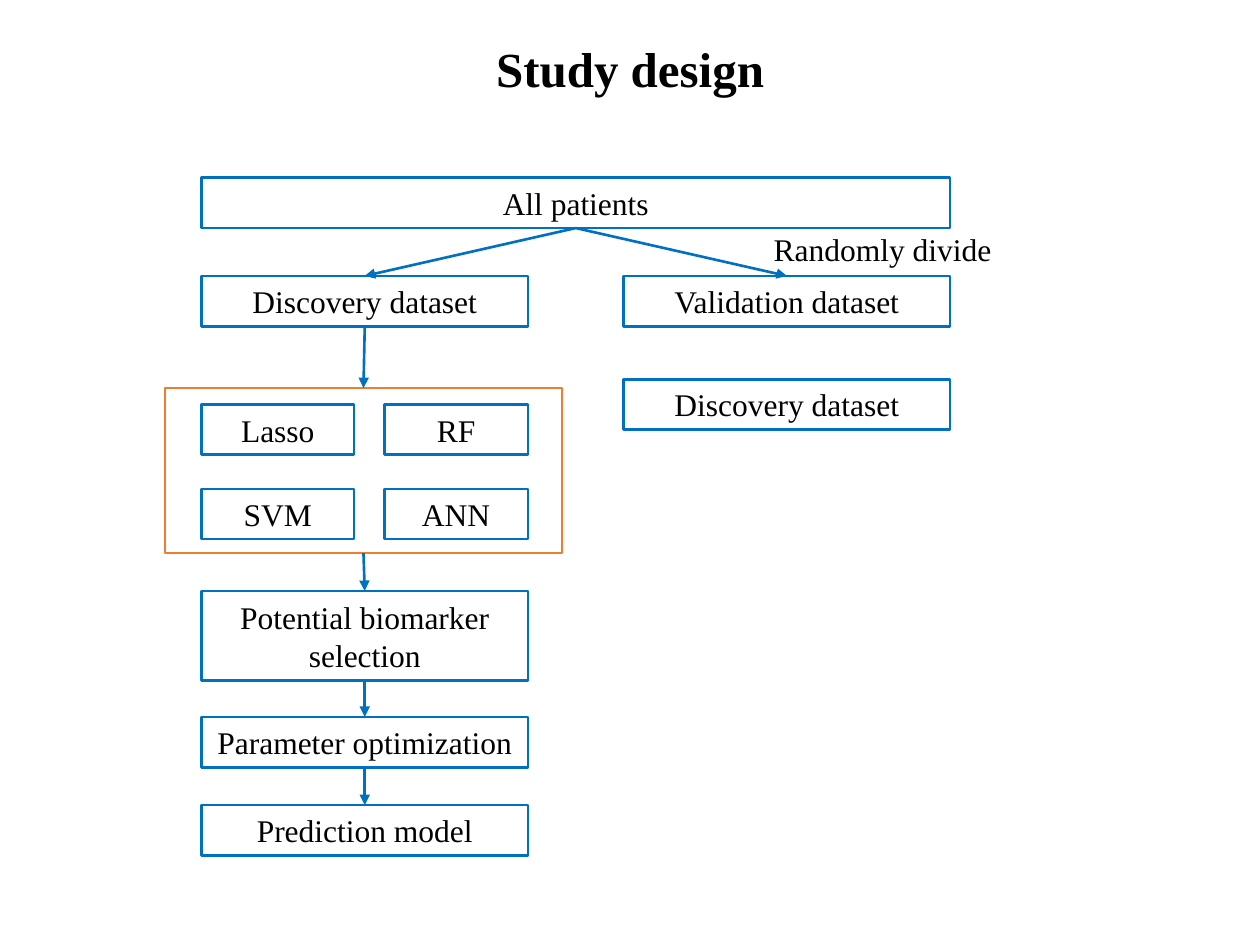
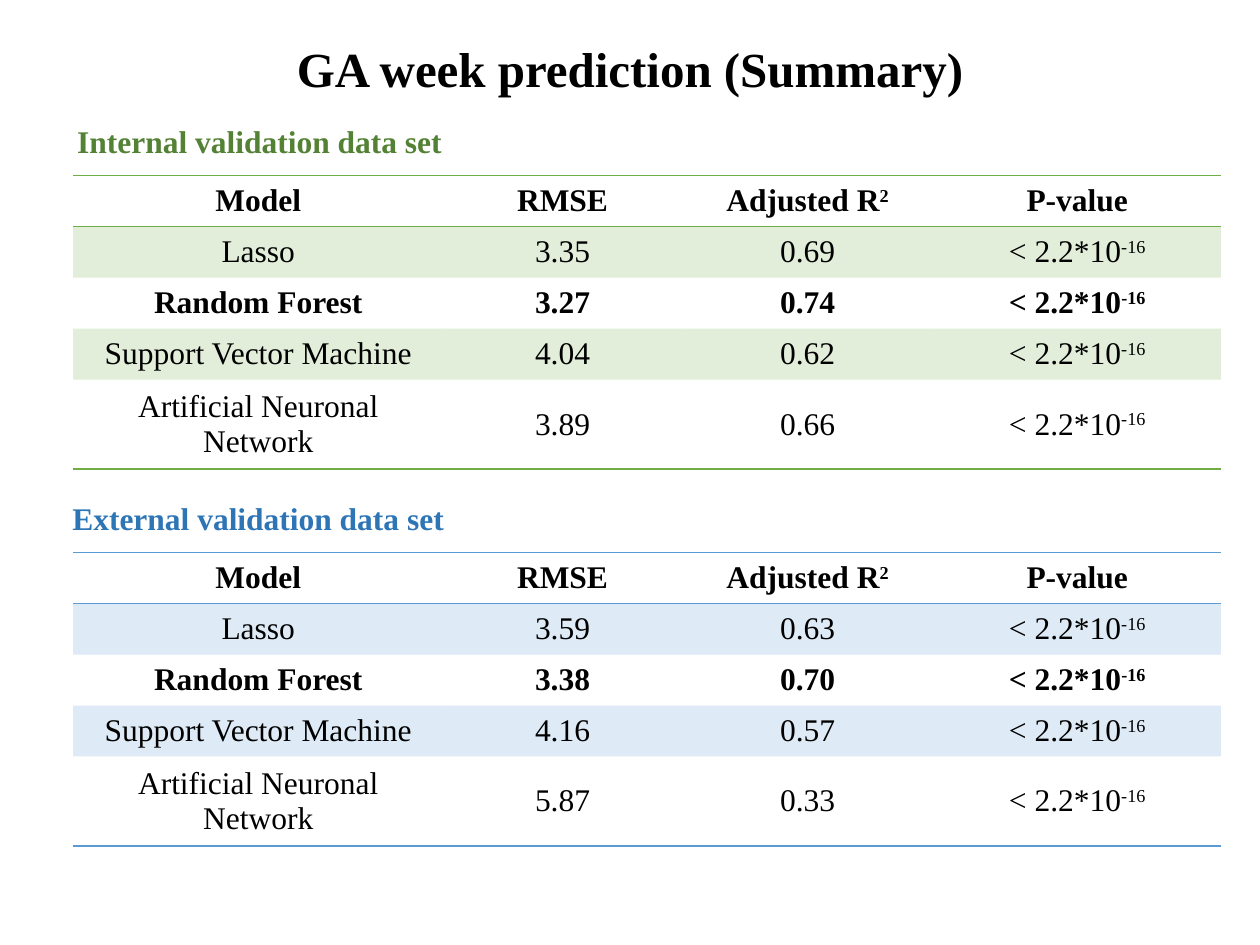
from dataclasses import dataclass

from pptx import Presentation
from pptx.dml.color import RGBColor as Rgb
from pptx.enum.shapes import MSO_CONNECTOR as Connector, MSO_SHAPE as Shape
from pptx.enum.text import MSO_ANCHOR as Anchor, PP_ALIGN as Align
from pptx.oxml import parse_xml
from pptx.oxml.ns import nsdecls, qn
from pptx.util import Inches, Pt

# The grid has 100 columns and 75 rows, each a tenth of an inch.
UNIT = Inches(0.1)
COLUMNS, ROWS = 100, 75
TOP, BOTTOM = 0, 2  # connection sites of a rectangle
PLAIN_TABLE = "{2D5ABB26-0587-4C30-8999-92F81FD0307C}"


@dataclass(frozen=True)
class Theme:
    font: str = "Times New Roman"
    title_size: int = 28
    body_size: int = 18
    ink: str = "000000"
    flow: str = "0070C0"
    group: str = "ED7D31"
    internal: str = "70AD47"
    internal_heading: str = "548235"
    external: str = "5B9BD5"
    external_heading: str = "2E75B6"
    flow_width: float = 1.5
    thin_width: float = 1
    band_opacity: int = 20


def grid(*lengths):
    return [round(length * UNIT) for length in lengths]


class Deck:
    def __init__(self, theme):
        self.theme = theme
        self.presentation = Presentation()
        self.presentation.slide_width, self.presentation.slide_height = grid(COLUMNS, ROWS)
        self.slide = None

    def add_slide(self, title):
        self.slide = self.presentation.slides.add_slide(self.presentation.slide_layouts[5])
        heading = self.slide.shapes.title
        heading.left, heading.top, heading.width, heading.height = grid(0, 2.5, COLUMNS, 5.7)
        self.set_text(heading.text_frame, title, size=self.theme.title_size, bold=True)

    def set_text(self, frame, text, size=None, color=None, bold=False):
        """Fill a frame with centred text; what follows a ^ is superscript."""
        base, _, exponent = text.partition("^")
        frame.text = base
        paragraph = frame.paragraphs[0]
        paragraph.alignment = Align.CENTER
        if exponent:
            raised = paragraph.add_run()
            raised.text = exponent
            raised.font._element.set("baseline", "30000")
        for run in paragraph.runs:
            run.font.name = self.theme.font
            run.font.size = Pt(size or self.theme.body_size)
            run.font.bold = bold
            run.font.color.rgb = Rgb.from_string(color or self.theme.ink)

    def outline(self, left, top, width, height, color, line_width):
        rectangle = self.slide.shapes.add_shape(Shape.RECTANGLE, *grid(left, top, width, height))
        rectangle.shadow.inherit = False
        rectangle.fill.background()
        rectangle.line.color.rgb = Rgb.from_string(color)
        rectangle.line.width = Pt(line_width)
        return rectangle

    def step(self, text, left, top, width=25.9, height=4):
        box = self.outline(left, top, width, height, self.theme.flow, self.theme.flow_width)
        box.text_frame.word_wrap = True
        self.set_text(box.text_frame, text)
        return box

    def label(self, text, left, top, width, color=None, bold=False):
        box = self.slide.shapes.add_textbox(*grid(left, top, width, 4))
        box.text_frame.word_wrap = False
        self.set_text(box.text_frame, text, color=color, bold=bold)

    def arrow(self, source, target):
        link = self.slide.shapes.add_connector(Connector.STRAIGHT, 0, 0, 0, 0)
        link.begin_connect(source, BOTTOM)
        link.end_connect(target, TOP)
        link.line.color.rgb = Rgb.from_string(self.theme.flow)
        link.line.width = Pt(self.theme.flow_width)
        link.line._get_or_add_ln().append(
            parse_xml(f'<a:tailEnd {nsdecls("a")} type="triangle"/>'))
        link._element.spPr.append(parse_xml(f'<a:effectLst {nsdecls("a")}/>'))

    def table(self, rows, left, top, widths, heights, accent, bold_rows):
        frame = self.slide.shapes.add_table(
            len(rows), len(widths), *grid(left, top, sum(widths), sum(heights)))
        table = frame.table
        table._tbl.tblPr.find(qn("a:tableStyleId")).text = PLAIN_TABLE
        for column, width in zip(table.columns, grid(*widths)):
            column.width = width
        for row, height in zip(table.rows, grid(*heights)):
            row.height = height
        last = len(rows) - 1
        for r, row in enumerate(rows):
            edges = {0: ("lnT", "lnB"), last: ("lnB",)}.get(r, ())
            for c, text in enumerate(row):
                cell = table.cell(r, c)
                cell.vertical_anchor = Anchor.MIDDLE
                self.set_text(cell.text_frame, text, bold=r in bold_rows)
                self.rule(cell, edges, accent)
                self.band(cell, accent if r % 2 else None)

    def rule(self, cell, edges, color):
        for edge in edges:
            cell._tc.get_or_add_tcPr().append(parse_xml(
                f'<a:{edge} {nsdecls("a")} w="{Pt(self.theme.thin_width)}">'
                f'<a:solidFill><a:srgbClr val="{color}"/></a:solidFill></a:{edge}>'))

    def band(self, cell, color):
        if color is None:
            cell.fill.background()
            return
        cell.fill.solid()
        cell.fill.fore_color.rgb = Rgb.from_string(color)
        tint = cell._tc.tcPr.find(qn("a:solidFill")).find(qn("a:srgbClr"))
        tint.append(parse_xml(
            f'<a:alpha {nsdecls("a")} val="{self.theme.band_opacity * 1000}"/>'))


def study_design(deck):
    theme = deck.theme
    left, right = 16, 49.5
    deck.add_slide("Study design")
    patients = deck.step("All patients", left, 14.1, width=59.4)
    discovery = deck.step("Discovery dataset", left, 21.9)
    validation = deck.step("Validation dataset", right, 21.9)
    deck.step("Discovery dataset", right, 30.1)
    deck.label("Randomly divide", 60, 17.8, 20.1)

    models = deck.outline(13.1, 30.8, 31.5, 13.1, theme.group, theme.thin_width)
    for top, names in ((32.1, ("Lasso", "RF")), (38.8, ("SVM", "ANN"))):
        for name, model_left, width in zip(names, (left, 30.5), (12.1, 11.4)):
            deck.step(name, model_left, top, width)

    selection = deck.step("Potential biomarker selection", left, 46.9, height=7.1)
    optimization = deck.step("Parameter optimization", left, 56.9)
    prediction = deck.step("Prediction model", left, 63.9)

    deck.arrow(patients, validation)
    flow = (patients, discovery, models, selection, optimization, prediction)
    for source, target in zip(flow, flow[1:]):
        deck.arrow(source, target)


def prediction_summary(deck):
    theme = deck.theme
    header = ("Model", "RMSE", "Adjusted R^2", "P-value")
    models = ("Lasso", "Random Forest", "Support Vector Machine", "Artificial Neuronal Network")
    p_value = "< 2.2*10^-16"
    sections = (
        ("Internal validation data set", 4.7, 9.2, theme.internal_heading, theme.internal,
         (("3.35", "0.69"), ("3.27", "0.74"), ("4.04", "0.62"), ("3.89", "0.66"))),
        ("External validation data set", 4.6, 39.1, theme.external_heading, theme.external,
         (("3.59", "0.63"), ("3.38", "0.70"), ("4.16", "0.57"), ("5.87", "0.33"))),
    )
    deck.add_slide("GA week prediction (Summary)")
    for heading, left, top, heading_color, accent, scores in sections:
        rows = [header] + [(model, *score, p_value) for model, score in zip(models, scores)]
        deck.table(rows, 5.8, top + 4.75, widths=(29.4, 18.9, 20, 22.8),
                   heights=(4.05,) * 4 + (7.1,), accent=accent, bold_rows=(0, 2))
        deck.label(heading, left, top, 31.8, heading_color, bold=True)


def main():
    deck = Deck(Theme())
    study_design(deck)
    prediction_summary(deck)
    deck.presentation.save("out.pptx")


if __name__ == "__main__":
    main()
